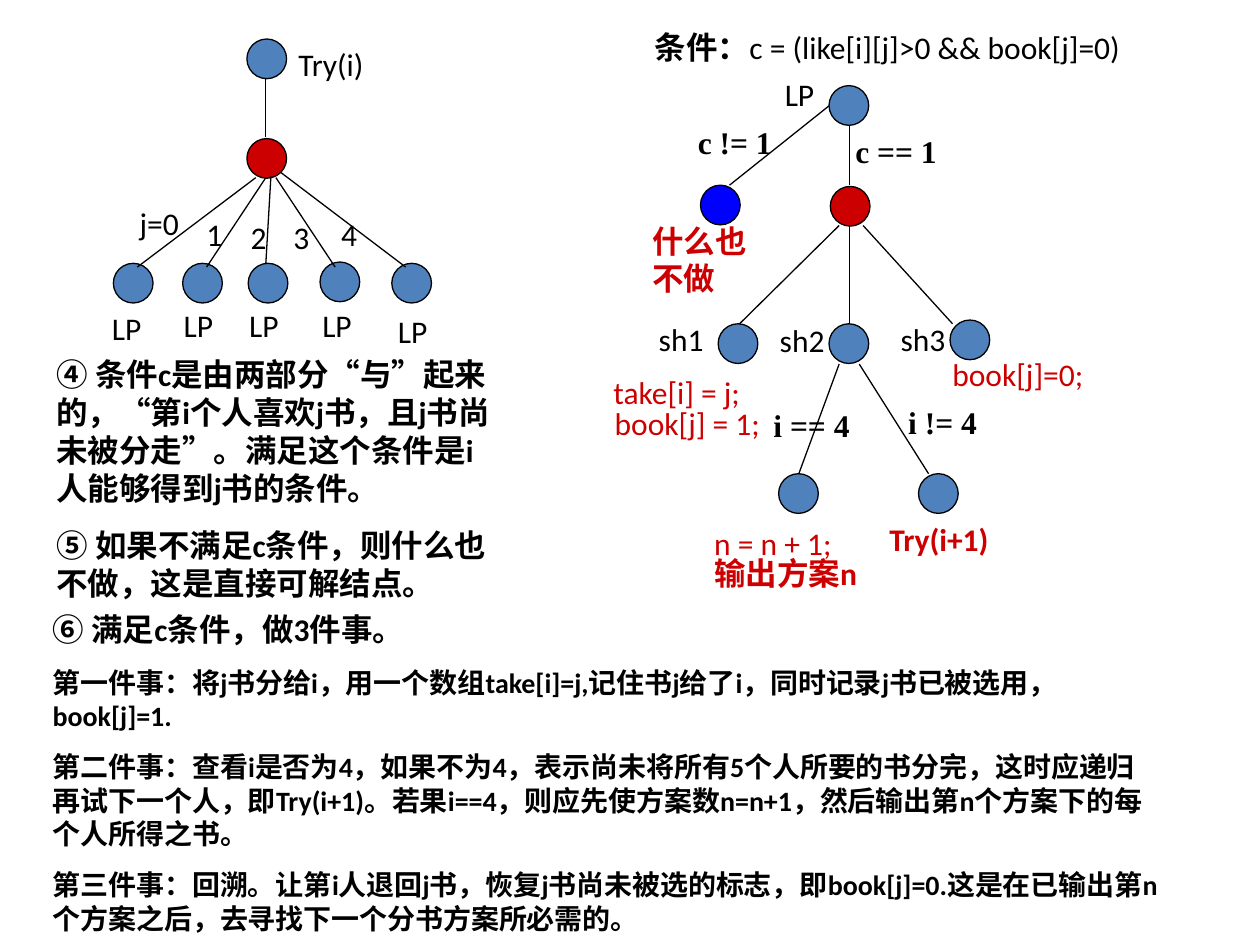
"""Draw two search trees for sharing out books, with notes on each step."""
from dataclasses import dataclass
from typing import NamedTuple

from lxml.etree import SubElement
from pptx import Presentation
from pptx.dml.color import RGBColor
from pptx.enum.shapes import MSO_CONNECTOR, MSO_SHAPE
from pptx.enum.text import MSO_AUTO_SIZE
from pptx.oxml.ns import qn
from pptx.util import Inches, Length, Pt

COLS, ROWS = 100, 75
WIDE, HIGH = Inches(10), Inches(7.5)


class Look(NamedTuple):
    ink: RGBColor
    form: dict


def look(ink: RGBColor, size: int = 18, bold: bool = False, name: str = "Calibri") -> Look:
    return Look(ink, {"name": name, "size": Pt(size), "bold": bold})


@dataclass(frozen=True)
class Theme:
    black = RGBColor.from_string("000000")
    red = RGBColor.from_string("CC0000")
    blue = RGBColor.from_string("0000FF")
    steel = RGBColor.from_string("4F81BD")
    serif = "Times New Roman"
    plain = look(black)
    bold = look(black, bold=True)
    small = look(black, 16, True)
    test = look(black, bold=True, name=serif)
    act = look(red)
    call = look(red, bold=True)
    halt = look(red, bold=True, name=serif)
    line = Pt(0.75)
    dot = 3.15
    gap = 11.2
    tight = 10


THEME = Theme()


class Dot(NamedTuple):
    col: float
    row: float
    fill: RGBColor = THEME.steel


class Edge(NamedTuple):
    col: float
    row: float
    to_col: float
    to_row: float


class Run(NamedTuple):
    text: str
    look: Look = THEME.plain


class Para(NamedTuple):
    runs: tuple[Run, ...]
    gap: float = THEME.gap


class Note(NamedTuple):
    col: float
    row: float
    wide: float
    paras: tuple[Para, ...]
    high: float = 4
    wrap: bool = True


class Tree(NamedTuple):
    dots: list[Dot]
    edges: list[Edge]
    notes: list[Note]


def across(cols: float) -> Length:
    return Length(round(WIDE * cols / COLS))


def down(rows: float) -> Length:
    return Length(round(HIGH * rows / ROWS))


def para(text: str, style: Look = THEME.plain, gap: float = THEME.gap) -> Para:
    return Para((Run(text, style),), gap)


def label(col: float, row: float, wide: float, text: str,
          style: Look = THEME.plain, high: float = 4) -> Note:
    return Note(col, row, wide, (para(text, style),), high)


def draw_dot(shapes, dot: Dot) -> None:
    shape = shapes.add_shape(MSO_SHAPE.OVAL, across(dot.col), down(dot.row),
                             across(THEME.dot), down(THEME.dot))
    shape.shadow.inherit = False
    shape.fill.solid()
    shape.fill.fore_color.rgb = dot.fill
    shape.line.color.rgb = THEME.black
    shape.line.width = THEME.line


def draw_edge(shapes, edge: Edge) -> None:
    line = shapes.add_connector(MSO_CONNECTOR.STRAIGHT, across(edge.col), down(edge.row),
                                across(edge.to_col), down(edge.to_row))
    line.line.color.rgb = THEME.black
    line.line.width = THEME.line
    SubElement(line._element.spPr, qn("a:effectLst"))


def draw_note(shapes, note: Note) -> None:
    box = shapes.add_textbox(across(note.col), down(note.row),
                             across(note.wide), down(note.high))
    frame = box.text_frame
    frame.word_wrap = note.wrap
    frame.auto_size = MSO_AUTO_SIZE.SHAPE_TO_FIT_TEXT
    for spot, item in enumerate(note.paras):
        text = frame.add_paragraph() if spot else frame.paragraphs[0]
        text.space_before = Pt(item.gap)
        for part in item.runs:
            run = text.add_run()
            run.text = part.text
            run.font.color.rgb = part.look.ink
            for key, value in part.look.form.items():
                setattr(run.font, key, value)


def draw_tree(shapes, tree: Tree) -> None:
    group = shapes.add_group_shape().shapes
    for draw, items in ((draw_dot, tree.dots), (draw_edge, tree.edges), (draw_note, tree.notes)):
        for item in items:
            draw(group, item)


LEAVES = [(9, 20.9), (14.5, 20.9), (19.7, 20.9), (25.4, 20.8), (31.1, 20.9)]
PICKS = [(15.4, 16.6, "1"), (18.9, 16.8, "2"), (22.3, 16.8, "3"), (26.1, 16.6, "4")]
NAMES = [(7.9, 24), (13.6, 23.8), (18.8, 23.8), (24.6, 23.8), (30.6, 24.3)]

CHOICE = Tree(
    [Dot(19.6, 3.1), Dot(19.6, 11, THEME.red), *(Dot(*leaf) for leaf in LEAVES)],
    [Edge(21.1, 6.2, 21.1, 10.9), Edge(20.3, 14.1, 10.9, 21.2),
     Edge(21.1, 14.1, 16.4, 21.2), Edge(21.5, 14, 21.1, 20.9),
     Edge(21.9, 14.1, 26.6, 21.2), Edge(22.3, 13.7, 32.2, 21.2)],
    [label(22.7, 3.1, 13.4, "Try(i)"), label(10.1, 15.7, 6.3, "j=0"),
     *(label(col, row, 3.1, text) for col, row, text in PICKS),
     *(label(col, row, 6.3, "LP") for col, row in NAMES)],
)

HEAD = Para((Run("条件：", THEME.bold), Run("c = (like[i][j]>0 && book[j]=0)")))

CHECK = Tree(
    [Dot(65.8, 6.8), Dot(55.6, 14.7, THEME.blue), Dot(65.9, 14.8, THEME.red),
     Dot(57, 25.7), Dot(65.8, 25.7), Dot(75.4, 25.4), Dot(61.8, 37.6), Dot(72.9, 37.6)],
    [Edge(65.8, 8.4, 57.9, 14.7), Edge(67.4, 10, 67.4, 14.7),
     Edge(67.4, 17.9, 67.4, 25.7), Edge(66.6, 17.9, 58.7, 25.7),
     Edge(68.5, 17.9, 75.6, 25.7), Edge(66.6, 28.9, 63.4, 37.6),
     Edge(68.2, 28.9, 73.7, 37.6)],
    [Note(51, 1.7, 43.3, (HEAD,)),
     label(61.3, 5.5, 7.9, "LP"),
     label(54.4, 9.3, 10.2, "c != 1", THEME.test),
     label(66.9, 10, 10.2, "c == 1", THEME.test),
     label(50.8, 17.1, 10.2, "什么也不做", THEME.halt, 7),
     label(51.3, 24.9, 6.3, "sh1"),
     label(47.7, 29.1, 14.2, "take[i] = j;", THEME.act),
     label(60.9, 25, 6.3, "sh2"),
     label(70.5, 24.9, 6.3, "sh3"),
     Note(47.8, 31.6, 13.5, (para("book[j] = 1;", THEME.act, 0),), wrap=False),
     label(60.4, 31.7, 10.2, "i == 4", THEME.test),
     label(71.1, 31.5, 10.2, "i != 4", THEME.test),
     label(55.7, 41.1, 14.2, "n = n + 1;", THEME.act),
     label(55.7, 43.5, 14.2, "输出方案n", THEME.call),
     label(69.6, 40.8, 14.2, "Try(i+1)", THEME.call),
     label(74.6, 27.7, 14.2, "book[j]=0;", THEME.act)],
)

RULES = Note(3.5, 27.7, 37, (
    para("④ 条件c是由两部分“与”起来的，“第i个人喜欢j书，且j书尚未被分走”。"
         "满足这个条件是i人能够得到j书的条件。", THEME.bold),
    para("⑤ 如果不满足c条件，则什么也不做，这是直接可解结点。", THEME.bold),
), 20.6)

STEPS = Note(3.2, 47.9, 89.8, (
    para("⑥ 满足c条件，做3件事。", THEME.bold),
    *(para(text, THEME.small, THEME.tight) for text in (
        "第一件事：将j书分给i，用一个数组take[i]=j,记住书j给了i，"
        "同时记录j书已被选用，book[j]=1.",
        "第二件事：查看i是否为4，如果不为4，表示尚未将所有5个人所要的书分完，"
        "这时应递归再试下一个人，即Try(i+1)。若果i==4，则应先使方案数n=n+1，"
        "然后输出第n个方案下的每个人所得之书。",
        "第三件事：回溯。让第i人退回j书，恢复j书尚未被选的标志，即book[j]=0."
        "这是在已输出第n个方案之后，去寻找下一个分书方案所必需的。",
    )),
), 26.9)


def main() -> None:
    deck = Presentation()
    deck.slide_width, deck.slide_height = WIDE, HIGH
    shapes = deck.slides.add_slide(deck.slide_layouts[6]).shapes
    for tree in (CHOICE, CHECK):
        draw_tree(shapes, tree)
    for note in (RULES, STEPS):
        draw_note(shapes, note)
    deck.save("out.pptx")


if __name__ == "__main__":
    main()
